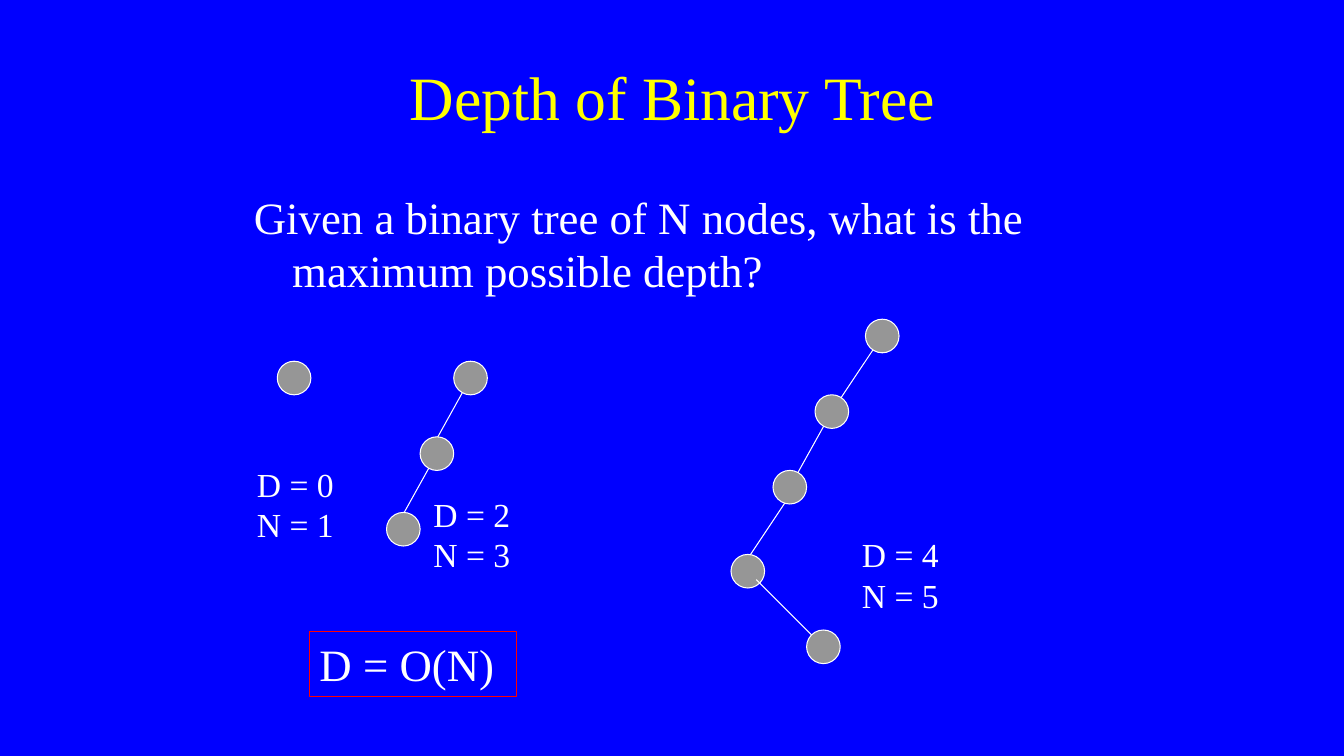
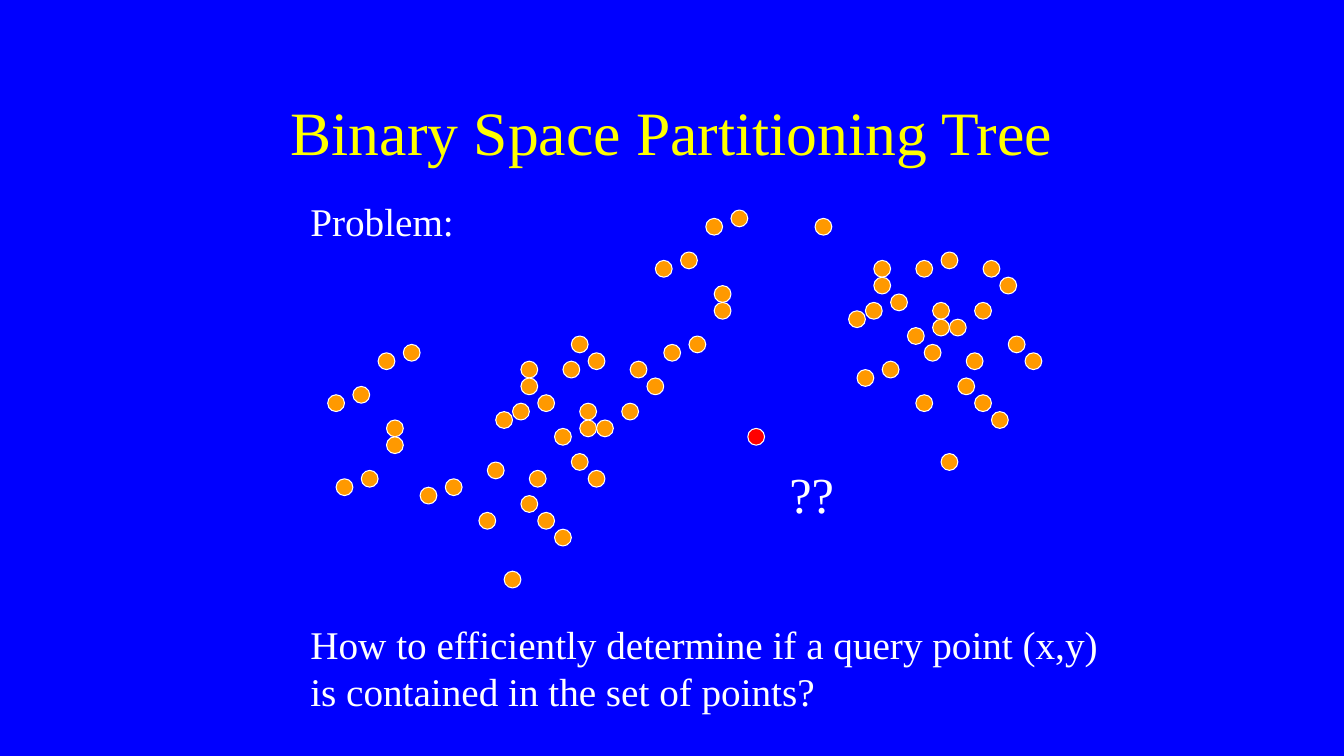
from dataclasses import dataclass

from lxml.etree import SubElement
from pptx import Presentation
from pptx.dml.color import RGBColor as RGB
from pptx.enum.shapes import MSO_CONNECTOR as Connector, MSO_SHAPE as Shape
from pptx.enum.text import MSO_ANCHOR as Anchor, PP_ALIGN as Align
from pptx.oxml.ns import qn
from pptx.util import Inches, Pt


@dataclass(frozen=True)
class Theme:
    font: str = "Times New Roman"
    background: RGB = RGB(0x00, 0x00, 0xFF)
    title: RGB = RGB(0xFF, 0xFF, 0x00)
    text: RGB = RGB(0xFF, 0xFF, 0xFF)
    outline: RGB = RGB(0xFF, 0xFF, 0xFF)
    node: RGB = RGB(0x96, 0x96, 0x96)
    point: RGB = RGB(0xFF, 0x99, 0x00)
    accent: RGB = RGB(0xFF, 0x00, 0x00)
    title_size: int = 44
    mark_size: int = 36
    body_size: int = 32
    problem_size: int = 28
    label_size: int = 24
    line_height: float = 1.2
    line_width: float = 0.75


THEME = Theme()

# Diagrams sit on a grid of twelve units to the inch.
GRID = 12
NODE_UNITS = 4
POINT_UNITS = 2

# Each branch: edges as (x1, y1, x2, y2), then nodes as (left, top).
BRANCHES = [
    ([], [(33, 43)]),
    ([(56, 45, 51, 54), (52, 54, 47, 63)],
     [(54, 43), (50, 52), (46, 61)]),
    ([(105, 40, 99, 49), (99, 49, 94, 58), (94, 59, 88, 68)],
     [(103, 38), (97, 47), (92, 56), (87, 66)]),
    ([(90, 69, 99, 78)], [(96, 75)]),
]

# Depth, node count, left and top of each label.
TREE_LABELS = [(0, 1, 2.45, 4.55), (2, 3, 4.2, 4.85), (4, 5, 8.45, 5.25)]

# Top of each row of points, with the left of every point in it.
POINT_ROWS = {
    25: [87], 26: [84, 97], 30: [81, 112], 31: [78, 104, 109, 117],
    33: [104, 119], 34: [85], 35: [106], 36: [85, 103, 111, 116],
    37: [101], 38: [111, 113], 39: [108], 40: [68, 82, 120],
    41: [48, 79, 110], 42: [45, 70, 115, 122], 43: [62, 67, 75, 105],
    44: [102], 45: [62, 77, 114], 46: [42], 47: [39, 64, 109, 116],
    48: [61, 69, 74], 49: [59, 118], 50: [46, 69, 71], 51: [66],
    52: [46], 54: [68, 112], 55: [58], 56: [43, 63, 70], 57: [40, 53],
    58: [50], 59: [62], 61: [57, 64], 63: [66], 68: [60],
}
QUERY_POINT = (89, 51)


def grid(units):
    return Inches(units / GRID)


def apply_format(target, values):
    for name, value in values.items():
        setattr(target, name, value)


def add_text(slide, box, lines, size, color=THEME.text, align=Align.LEFT,
             anchor=Anchor.TOP, hanging=0):
    """Add one paragraph per line; hanging is the indent of wrapped lines."""
    text_box = slide.shapes.add_textbox(*map(Inches, box))
    frame = text_box.text_frame
    apply_format(frame, {"word_wrap": True, "vertical_anchor": anchor,
                         "text": "\n".join(lines)})
    for paragraph in frame.paragraphs:
        if hanging:
            properties = paragraph._p.get_or_add_pPr()
            properties.set("marL", str(Inches(hanging)))
            properties.set("indent", str(-Inches(hanging)))
        apply_format(paragraph, {"alignment": align,
                                 "line_spacing": Pt(size * THEME.line_height)})
        for run in paragraph.runs:
            apply_format(run.font, {"name": THEME.font, "size": Pt(size)})
            run.font.color.rgb = color
    return text_box


def add_title(slide, box, title):
    add_text(slide, box, [title], THEME.title_size, THEME.title,
             Align.CENTER, Anchor.MIDDLE)


def style_line(line, color):
    line.color.rgb = color
    line.width = Pt(THEME.line_width)


def add_dot(slide, left, top, units, color):
    """Add an outlined circle, placed and sized in grid units."""
    dot = slide.shapes.add_shape(Shape.OVAL, *map(grid, (left, top, units, units)))
    dot.shadow.inherit = False
    dot.fill.solid()
    dot.fill.fore_color.rgb = color
    style_line(dot.line, THEME.outline)


def add_edge(slide, ends):
    edge = slide.shapes.add_connector(Connector.STRAIGHT, *map(grid, ends))
    style_line(edge.line, THEME.outline)
    SubElement(edge._element.spPr, qn("a:effectLst"))


def add_branch(slide, edges, nodes):
    for ends in edges:
        add_edge(slide, ends)
    for left, top in nodes:
        add_dot(slide, left, top, NODE_UNITS, THEME.node)


def build_depth_slide(slide):
    add_title(slide, (2.42, 0.33, 8.5, 1.25), "Depth of Binary Tree")
    add_text(slide, (2.42, 1.83, 8.5, 1.25),
             ["Given a binary tree of N nodes, what is the maximum possible depth?"],
             THEME.body_size, hanging=0.38)
    for edges, nodes in BRANCHES:
        add_branch(slide, edges, nodes)
    for depth, count, left, top in TREE_LABELS:
        add_text(slide, (left, top, 1.2, 0.91),
                 [f"D = {depth}", f"N = {count}"], THEME.label_size)
    bound = add_text(slide, (3.07, 6.27, 2.05, 0.64), ["D = O(N)"], THEME.body_size)
    style_line(bound.line, THEME.accent)


def build_partition_slide(slide):
    add_title(slide, (1, 0.67, 11.33, 1.25), "Binary Space Partitioning Tree")
    for top, row in POINT_ROWS.items():
        for left in row:
            add_dot(slide, left, top, POINT_UNITS, THEME.point)
    add_text(slide, (2.98, 1.91, 2, 0.57), ["Problem:"], THEME.problem_size)
    add_text(slide, (2.98, 6.11, 8.3, 1.04),
             ["How to efficiently determine if a query point (x,y)",
              "is contained in the set of points?"], THEME.problem_size)
    add_dot(slide, *QUERY_POINT, POINT_UNITS, THEME.accent)
    add_text(slide, (7.73, 4.55, 0.8, 0.7), ["??"], THEME.mark_size)


def main():
    deck = Presentation()
    apply_format(deck, {"slide_width": Inches(13.33), "slide_height": Inches(7.5)})
    background = deck.slide_master.background.fill
    background.solid()
    background.fore_color.rgb = THEME.background
    blank = deck.slide_layouts[6]
    for build in (build_depth_slide, build_partition_slide):
        build(deck.slides.add_slide(blank))
    deck.save("out.pptx")


if __name__ == "__main__":
    main()
